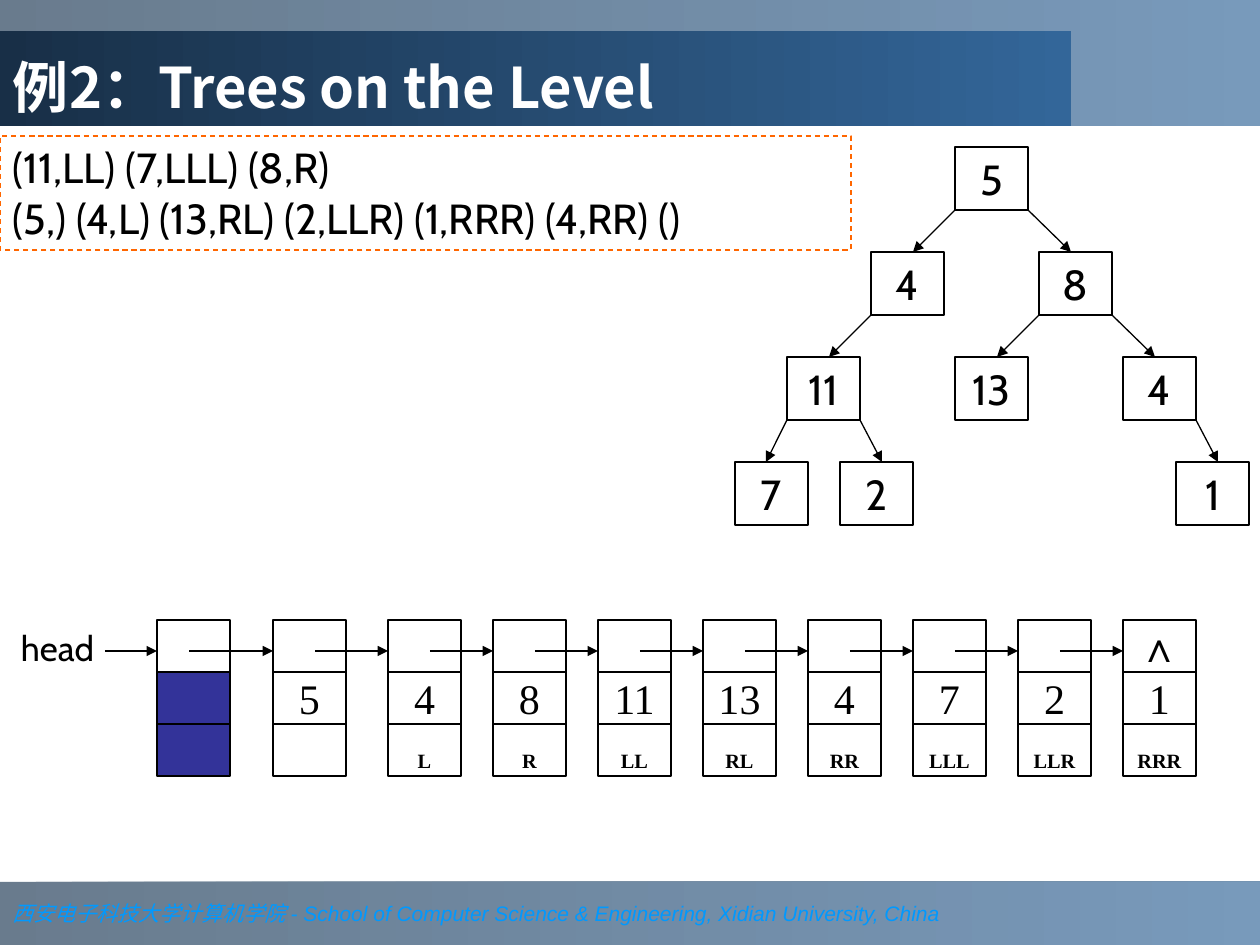
from lxml import etree
from pptx import Presentation
from pptx.dml.color import RGBColor as Rgb
from pptx.enum.dml import MSO_LINE as Dash
from pptx.enum.shapes import MSO_CONNECTOR as Link, MSO_SHAPE as Kind
from pptx.enum.text import MSO_ANCHOR as Anchor, PP_ALIGN as Align
from pptx.oxml.ns import qn
from pptx.util import Pt

SCALE = 914400 / 126
HUES = {
    "black": "000000", "white": "FFFFFF", "navy": "182F47", "slate": "1C3853",
    "blue": "336699", "sky": "0099FF", "orange": "FF6600", "indigo": "333399",
}
SERIF, SANS, HAN = "Times New Roman", "Cabin", "Noto Sans CJK SC"
NODE_W, NODE_H, CELL_H = 73, 63, 52
LIST_TOP, LINK_Y = 620, 651

TREE = [
    ("5", 955, 0, None, None),
    ("4", 871, 1, 0, 913),
    ("8", 1039, 1, 0, 1071),
    ("11", 787, 2, 1, 829),
    ("13", 955, 2, 2, 997),
    ("4", 1123, 2, 2, 1155),
    ("7", 735, 3, 3, 766),
    ("2", 840, 3, 3, 882),
    ("1", 1176, 3, 5, 1218),
]
ITEMS = [
    ("", ""), ("5", ""), ("4", "L"), ("8", "R"), ("11", "LL"), ("13", "RL"),
    ("4", "RR"), ("7", "LLL"), ("2", "LLR"), ("1", "RRR"),
]


def px(n):
    return round(n * SCALE)


def hue(name):
    return Rgb.from_string(HUES[name])


def write(shape, text, size=24, font=SANS, color="black", bold=False,
          italic=False, align=Align.CENTER, anchor=Anchor.MIDDLE,
          wrap=False, pad=(13, 6), base=0):
    frame = shape.text_frame
    frame.word_wrap = wrap
    frame.vertical_anchor = anchor
    frame.margin_left = frame.margin_right = px(pad[0])
    frame.margin_top = frame.margin_bottom = px(pad[1])
    para = frame.paragraphs[0]
    para.alignment = align
    parts = [(text, font)] if isinstance(text, str) else text
    for words, face in parts:
        for i, line in enumerate(words.split("\n")):
            if i:
                para.add_line_break()
            run = para.add_run()
            run.text = line
            style = run.font
            style.size, style.name = Pt(size), face
            style.bold, style.italic = bold, italic
            style.color.rgb = hue(color)
            props = run._r.get_or_add_rPr()
            etree.SubElement(props, qn("a:ea"), typeface=HAN)
            if base:
                props.set("baseline", str(base * 1000))


def box(shapes, x, y, w, h, fill="white", line="black"):
    shape = shapes.add_shape(Kind.RECTANGLE, px(x), px(y), px(w), px(h))
    shape.shadow.inherit = False
    if fill:
        shape.fill.solid()
        shape.fill.fore_color.rgb = hue(fill)
    else:
        shape.fill.background()
    if line:
        shape.line.color.rgb = hue(line)
        shape.line.width = Pt(0.75)
    else:
        shape.line.fill.background()
    return shape


def band(shapes, x, y, w, h, start, alpha=100):
    shape = box(shapes, x, y, w, h, None, None)
    shape.fill.gradient()
    shape.fill.gradient_angle = 0
    for stop, name, pos in zip(shape.fill.gradient_stops, (start, "blue"), (0, 1)):
        stop.color.rgb = hue(name)
        stop.position = pos
    if alpha < 100:
        for tint in shape._element.spPr.iter(qn("a:srgbClr")):
            etree.SubElement(tint, qn("a:alpha"), val=str(alpha * 1000))
    return shape


def arrow(shapes, x1, y1, x2, y2):
    link = shapes.add_connector(Link.STRAIGHT, px(x1), px(y1), px(x2), px(y2))
    link.line.color.rgb = hue("black")
    link.line.width = Pt(0.75)
    etree.SubElement(link.line._get_or_add_ln(), qn("a:tailEnd"), type="triangle")
    etree.SubElement(link._element.spPr, qn("a:effectLst"))


def frame(shapes):
    foot = band(shapes, 0, 882, 1260, 63, "slate", 66)
    write(foot, [("西安电子科技大学计算机学院 ", SERIF),
                 ("- School of Computer Science & Engineering, Xidian University, China", "Arial")],
          size=12, color="sky", italic=True, align=Align.LEFT, wrap=True)
    band(shapes, 0, 0, 1260, 126, "slate", 66)
    title = band(shapes, 0, 31, 1071, 95, "navy")
    write(title, "例2：Trees on the Level", size=32, font=HAN, color="white",
          bold=True, align=Align.LEFT, anchor=Anchor.BOTTOM, wrap=True)


def note(shapes):
    shape = box(shapes, 0, 136, 851, 114, None, "orange")
    shape.line.dash_style = Dash.DASH
    write(shape, "(11,LL) (7,LLL) (8,R)\n(5,) (4,L) (13,RL) (2,LLR) (1,RRR) (4,RR) ()",
          align=Align.LEFT, anchor=Anchor.TOP, wrap=True)


def tree(shapes):
    for key, x, level, up, tip in TREE:
        top = 147 + 105 * level
        write(box(shapes, x, top, NODE_W, NODE_H), key)
        if up is not None:
            left = TREE[up][1]
            edge = left if x < left else left + NODE_W
            arrow(shapes, edge, top - 42, tip, top)


def chain(shapes):
    label = shapes.add_textbox(px(21), px(LIST_TOP), px(84), px(55))
    write(label, "head", size=20, align=Align.LEFT, anchor=Anchor.TOP,
          wrap=True, pad=(0, 6))
    lefts = [157, 273] + [388 + 105 * i for i in range(8)]
    starts = [105, 189] + [x + 42 for x in lefts[1:-1]]
    for i, (x, (key, route)) in enumerate(zip(lefts, ITEMS)):
        fill = "white" if i else "indigo"
        tops = [LIST_TOP + CELL_H * row for row in range(3)]
        head = box(shapes, x, tops[0], NODE_W, CELL_H)
        body = box(shapes, x, tops[1], NODE_W, CELL_H, fill)
        tail = box(shapes, x, tops[2], NODE_W, CELL_H, fill)
        if x == lefts[-1]:
            write(head, "∧", font=SERIF)
        if key:
            write(body, key, font=SERIF)
        if route:
            write(tail, route, size=20, font=SERIF, bold=True, pad=(0, 0), base=-20)
    for start, x in zip(starts, lefts):
        arrow(shapes, start, LINK_Y, x, LINK_Y)


def main():
    deck = Presentation()
    deck.slide_width, deck.slide_height = px(1260), px(945)
    shapes = deck.slides.add_slide(deck.slide_layouts[6]).shapes
    frame(shapes)
    note(shapes)
    chain(shapes.add_group_shape().shapes)
    tree(shapes.add_group_shape().shapes)
    deck.save("out.pptx")


if __name__ == "__main__":
    main()
